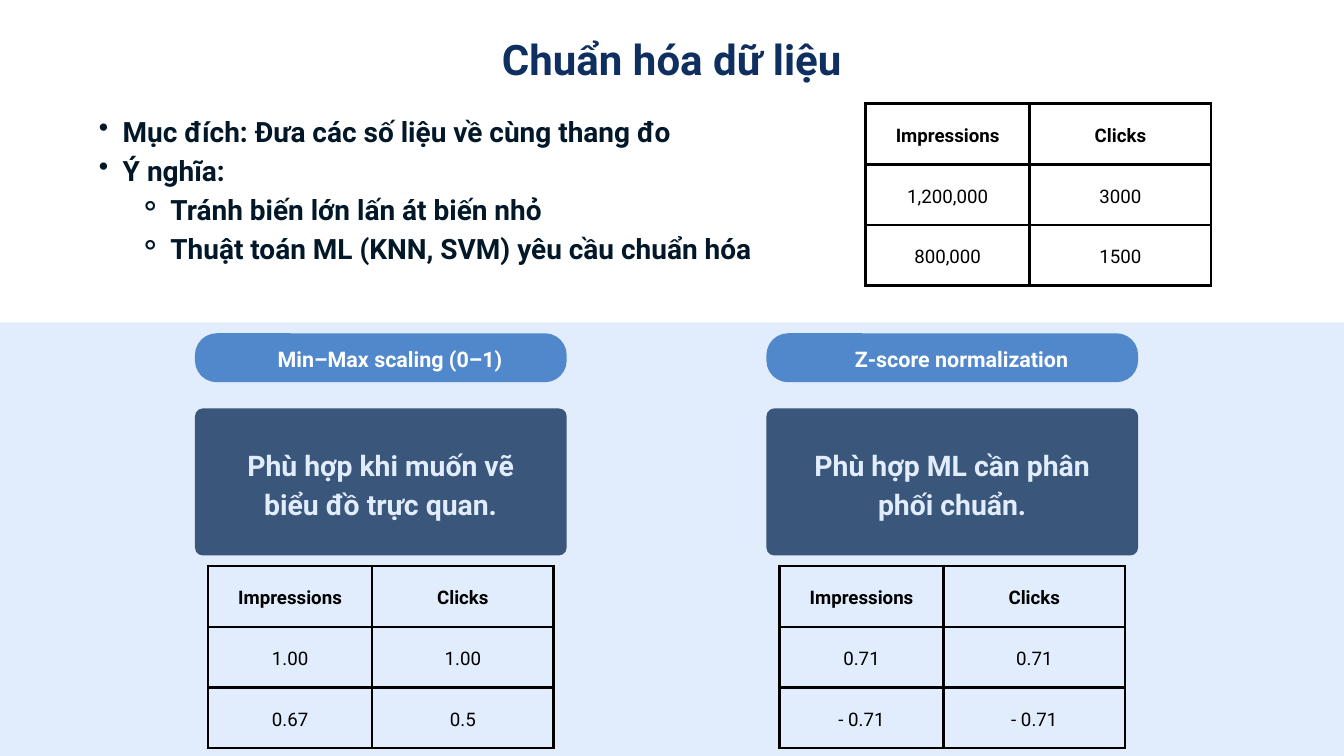
import pptx
import pptx.dml.color
import pptx.enum.shapes
import pptx.enum.text
import pptx.oxml
import pptx.oxml.ns
import pptx.util

Cm, Pt = pptx.util.Cm, pptx.util.Pt
SHAPE = pptx.enum.shapes.MSO_SHAPE
ALIGN = pptx.enum.text.PP_ALIGN

TITLE = "Chuẩn hóa dữ liệu"
BULLETS = [
    (1, "Mục đích: Đưa các số liệu về cùng thang đo"),
    (1, "Ý nghĩa:"),
    (2, "Tránh biến lớn lấn át biến nhỏ"),
    (2, "Thuật toán ML (KNN, SVM) yêu cầu chuẩn hóa"),
]
HEADER = ("Impressions", "Clicks")
RAW_ROWS = [("1,200,000", "3000"), ("800,000", "1500")]
METHODS = [
    dict(name="Min–Max scaling (0–1)",
         use="Phù hợp khi muốn vẽ biểu đồ trực quan.",
         rows=[("1.00", "1.00"), ("0.67", "0.5")]),
    dict(name="Z-score normalization",
         use="Phù hợp ML cần phân phối chuẩn.",
         rows=[("0.71", "0.71"), ("- 0.71", "- 0.71")]),
]

# Bullet character, left margin and hanging indent (cm) by level
LEVELS = {1: ("•", 1.8, 0.9), 2: ("⚬", 3.6, 1.2)}
COL_WIDTHS = (6.2, 6.86)
ROW_HEIGHTS = (2.31, 2.29, 2.29)
METHOD_X, METHOD_PITCH, METHOD_W = 7.37, 21.6, 14.05

TITLE_STYLE = dict(size=45, color="0E2F5F", spacing=57.1)
BULLET_STYLE = dict(size=30, color="021828", spacing=42, align=ALIGN.JUSTIFY)
NAME_STYLE = dict(size=23, color="FFFFFF", spacing=32.2)
USE_STYLE = dict(size=30.4, color="E1EDFC", spacing=42.6)
CELL_STYLE = dict(size=20, color="000000", spacing=28)


def rgb(value):
    return pptx.dml.color.RGBColor.from_string(value)


def write(p, text, size, color, spacing, align=ALIGN.CENTER, bold=True):
    p.alignment = align
    p.line_spacing = Pt(spacing)
    r = p.add_run()
    r.text = text
    font = dict(name="Roboto", size=Pt(size), bold=bold)
    for key, value in font.items():
        setattr(r.font, key, value)
    r.font.color.rgb = rgb(color)


def add_text_frame(s, x, y, w, h):
    """Add a wrapping text box without insets and return its text frame."""
    tf = s.shapes.add_textbox(Cm(x), Cm(y), Cm(w), Cm(h)).text_frame
    settings = dict(word_wrap=True, margin_left=0, margin_right=0,
                    margin_top=0, margin_bottom=0)
    for key, value in settings.items():
        setattr(tf, key, value)
    return tf


def add_label(s, x, y, w, h, text, style):
    write(add_text_frame(s, x, y, w, h).paragraphs[0], text, **style)


def add_block(s, x, y, w, h, color, radius=0):
    kind = SHAPE.ROUNDED_RECTANGLE if radius else SHAPE.RECTANGLE
    sp = s.shapes.add_shape(kind, Cm(x), Cm(y), Cm(w), Cm(h))
    if radius:
        sp.adjustments[0] = radius / h
    sp.shadow.inherit = False
    sp.fill.solid()
    sp.fill.fore_color.rgb = rgb(color)
    sp.line.fill.background()


def add_bullets(s, x, y, w, h):
    tf = add_text_frame(s, x, y, w, h)
    for i, (level, text) in enumerate(BULLETS):
        p = tf.add_paragraph() if i else tf.paragraphs[0]
        char, margin, hanging = LEVELS[level]
        p.level = level
        pPr = p._p.get_or_add_pPr()
        pPr.set("marL", str(Cm(margin)))
        pPr.set("indent", str(-Cm(hanging)))
        pPr.append(pptx.oxml.parse_xml(
            f'<a:buChar {pptx.oxml.ns.nsdecls("a")} char="{char}"/>'))
        write(p, text, **BULLET_STYLE)


def add_borders(cell, width=3, color="000000"):
    tcPr = cell._tc.get_or_add_tcPr()
    for i, side in enumerate(("lnL", "lnR", "lnT", "lnB")):
        tcPr.insert(i, pptx.oxml.parse_xml(
            f'<a:{side} {pptx.oxml.ns.nsdecls("a")} w="{Pt(width)}">'
            f'<a:solidFill><a:srgbClr val="{color}"/></a:solidFill></a:{side}>'))


def add_data_table(s, x, y, rows):
    data = [HEADER, *rows]
    table = s.shapes.add_table(
        len(data), len(HEADER), Cm(x), Cm(y),
        Cm(sum(COL_WIDTHS)), Cm(sum(ROW_HEIGHTS))).table
    table.first_row = table.horz_banding = False
    for column, width in zip(table.columns, COL_WIDTHS):
        column.width = Cm(width)
    for row, height in zip(table.rows, ROW_HEIGHTS):
        row.height = Cm(height)
    for i, values in enumerate(data):
        for j, value in enumerate(values):
            cell = table.cell(i, j)
            for side in ("left", "right", "top", "bottom"):
                setattr(cell, f"margin_{side}", Cm(0.53))
            cell.vertical_anchor = pptx.enum.text.MSO_ANCHOR.MIDDLE
            cell.fill.background()
            add_borders(cell)
            write(cell.text_frame.paragraphs[0], value, bold=i == 0, **CELL_STYLE)


def add_method(s, x, method):
    """Add one column: name pill, use card and table of scaled values."""
    add_block(s, x, 15.44, METHOD_W, 5.56, "3A577B", radius=0.3)
    add_block(s, x, 12.6, METHOD_W, 1.85, "5188CC", radius=0.82)
    add_label(s, x + 1.93, 12.93, 10.9, 1.07, method["name"], NAME_STYLE)
    add_label(s, x + 1.37, 16.71, 11.3, 2.9, method["use"], USE_STYLE)
    add_data_table(s, x + (METHOD_W - sum(COL_WIDTHS)) / 2, 21.39, method["rows"])


def main():
    prs = pptx.Presentation()
    prs.slide_width, prs.slide_height = Cm(50.8), Cm(28.58)
    s = prs.slides.add_slide(prs.slide_layouts[6])
    add_block(s, 0, 12.19, 50.8, 16.39, "E1EDFC")
    add_label(s, 16.18, 1.17, 18.42, 2.03, TITLE, TITLE_STYLE)
    add_bullets(s, 2.84, 4.11, 27.74, 5.92)
    add_data_table(s, 32.72, 3.91, RAW_ROWS)
    for i, method in enumerate(METHODS):
        add_method(s, METHOD_X + i * METHOD_PITCH, method)
    prs.save("out.pptx")


if __name__ == "__main__":
    main()
